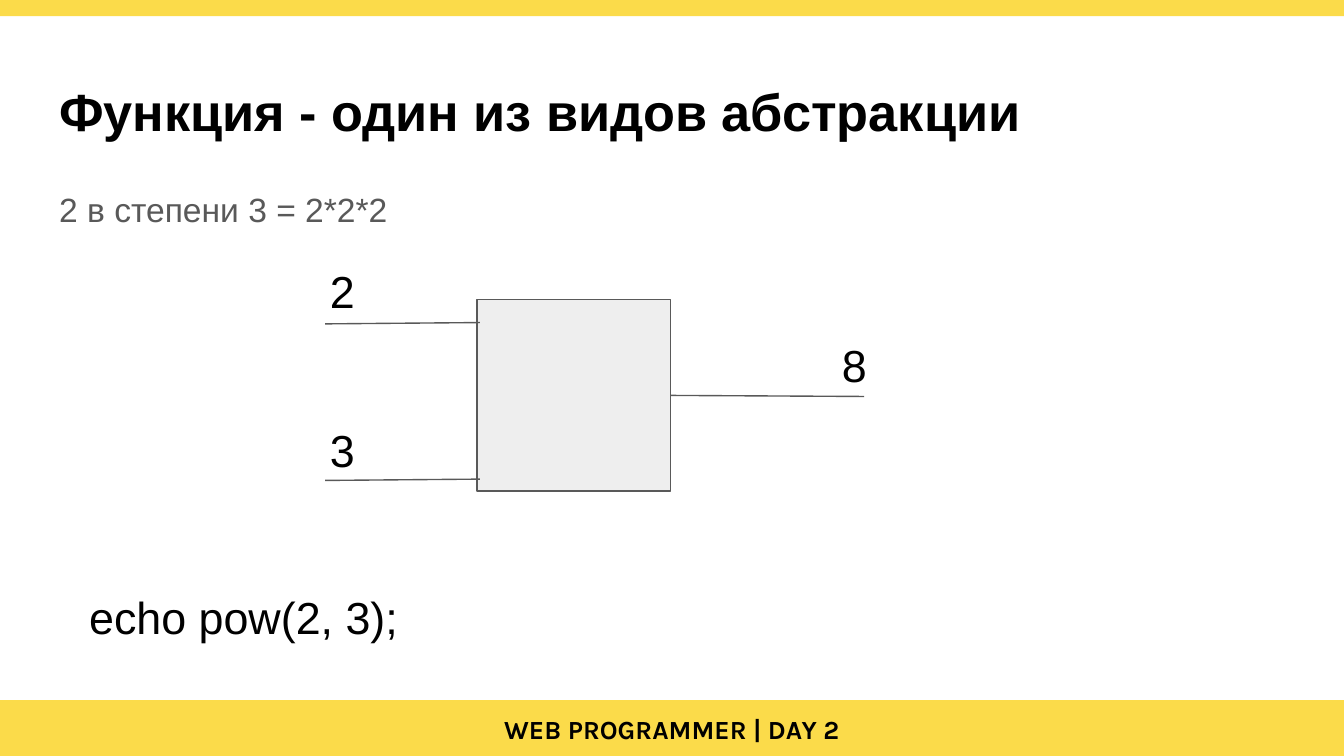
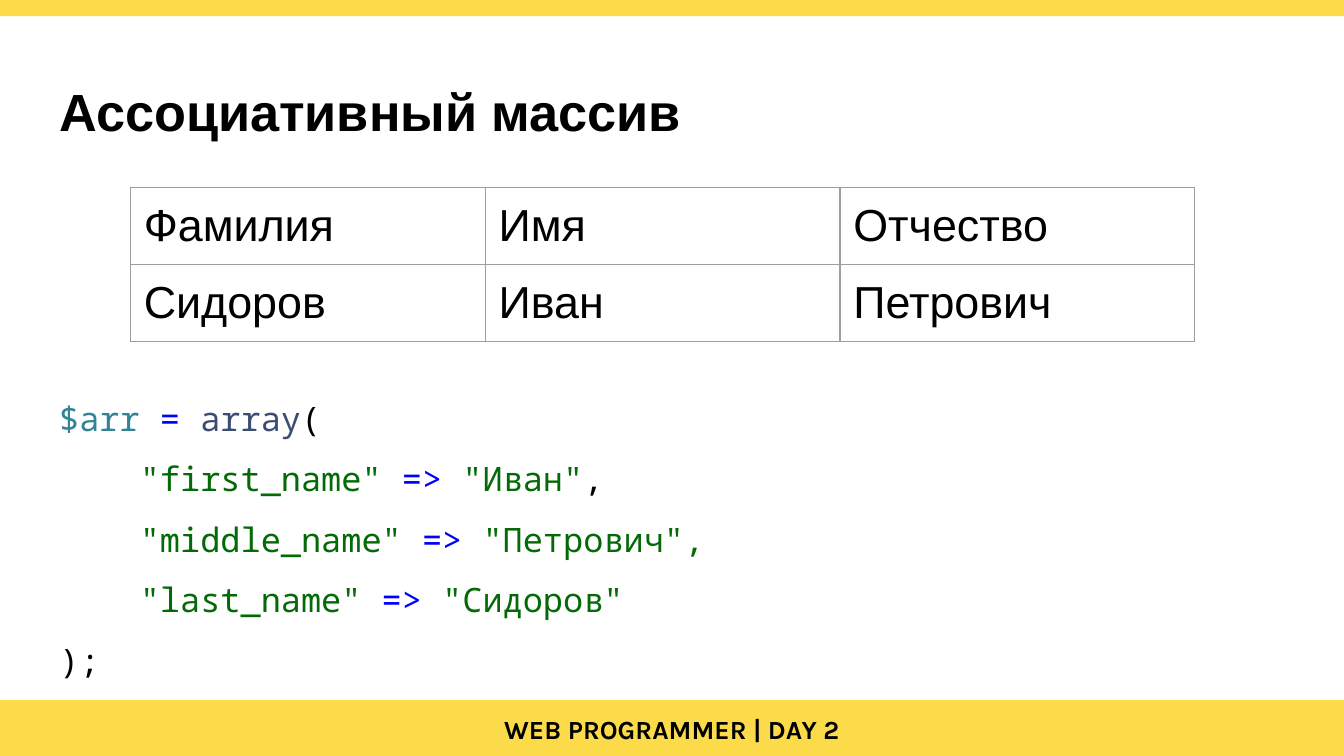
from typing import Any, NamedTuple

from lxml.etree import SubElement
from pptx import Presentation
from pptx.dml.color import RGBColor
from pptx.enum.shapes import MSO_CONNECTOR, MSO_SHAPE
from pptx.enum.text import MSO_ANCHOR, MSO_AUTO_SIZE, PP_ALIGN
from pptx.oxml.ns import qn
from pptx.util import Emu, Pt

# Colours
BLACK = RGBColor(0x00, 0x00, 0x00)
GREY = RGBColor(0x59, 0x59, 0x59)
LIGHT = RGBColor(0xEE, 0xEE, 0xEE)
BORDER = RGBColor(0x9E, 0x9E, 0x9E)
YELLOW = RGBColor(0xFB, 0xDB, 0x4A)
VARIABLE = RGBColor(0x31, 0x84, 0x95)
OPERATOR = RGBColor(0x00, 0x00, 0xFF)
KEYWORD = RGBColor(0x3C, 0x4C, 0x72)
STRING = RGBColor(0x03, 0x6A, 0x07)

# Text formats
TITLE = {"name": "Arial", "size": Pt(28), "bold": True}
BODY = {"name": "Arial", "size": Pt(18)}
LARGE = {"name": "Arial", "size": Pt(24)}
CODE = {"name": "Noto Sans Mono", "size": Pt(18)}
FOOTER = {"name": "Karla", "size": Pt(14), "bold": True}

# Lengths in px, 200 to the inch
PX = 4572
WIDTH, HEIGHT = 2000, 1125
INSET = 20
CODE_TOP = 310
CODE_INDENT = 120
CODE_LEADING = Pt(32.4)
THIN = Pt(0.75)


class Box(NamedTuple):
    left: int
    top: int
    width: int
    height: int

    def emu(self) -> list[Emu]:
        return [px(v) for v in self]


class Label(NamedTuple):
    text: str
    box: Box


class Wire(NamedTuple):
    x1: int
    y1: int
    x2: int
    y2: int


class Token(NamedTuple):
    text: str
    color: RGBColor = BLACK


class CodeLine(NamedTuple):
    level: int
    tokens: list[Token]


TITLE_BOX = Box(68, 98, 1864, 126)
BODY_BOX = Box(68, 252, 1864, 748)
TOP_BAND = Box(0, 0, WIDTH, 24)
BOTTOM_BAND = Box(0, 1042, WIDTH, HEIGHT - 1042)
FOOTER_LABEL = Label("WEB PROGRAMMER | DAY 2", Box(454, 1042, 1092, 83))

# The function as a box with two inputs and one output
FUNCTION_BOX = Box(710, 446, 288, 285)
INPUTS = [Wire(714, 480, 484, 482), Wire(714, 713, 484, 715)]
OUTPUT = Wire(998, 588, 1286, 590)
LABELS = [
    Label("2", Box(471, 372, 98, 162)),
    Label("3", Box(471, 609, 98, 162)),
    Label("8", Box(1233, 482, 98, 162)),
    Label("echo pow(2, 3);", Box(113, 858, 1084, 162)),
]

# The names table and the array that holds them
NAMES = [["Фамилия", "Имя", "Отчество"], ["Сидоров", "Иван", "Петрович"]]
TABLE_LEFT, TABLE_TOP, COLUMN, ROW = 194, 279, 528, 84


def px(value: int) -> Emu:
    return Emu(value * PX)


def entry(key: str, value: str, *end: Token) -> CodeLine:
    return CodeLine(1, [Token(f'"{key}"', STRING), Token(" "), Token("=>", OPERATOR),
                        Token(" "), Token(f'"{value}"', STRING), *end])


ARRAY_CODE = [
    CodeLine(0, [Token("$arr", VARIABLE), Token(" "), Token("=", OPERATOR),
                 Token(" "), Token("array", KEYWORD), Token("(")]),
    entry("first_name", "Иван", Token(",")),
    entry("middle_name", "Петрович", Token(",", STRING)),
    entry("last_name", "Сидоров"),
    CodeLine(0, [Token(");")]),
]


def add_run(p: Any, text: str, fmt: dict[str, Any], color: RGBColor = BLACK) -> None:
    r = p.add_run()
    r.text = text
    for name, value in fmt.items():
        setattr(r.font, name, value)
    r.font.color.rgb = color


def set_frame(tf: Any, top: int = INSET) -> None:
    frame = {"word_wrap": True, "auto_size": MSO_AUTO_SIZE.NONE,
             "vertical_anchor": MSO_ANCHOR.TOP, "margin_left": px(INSET),
             "margin_right": px(INSET), "margin_top": px(top), "margin_bottom": px(INSET)}
    for name, value in frame.items():
        setattr(tf, name, value)


def place(sp: Any, box: Box) -> None:
    for name, value in zip(box._fields, box.emu()):
        setattr(sp, name, value)


def set_plain(p: Any, spacing: Any, indent: int = 0) -> None:
    """Turn a list paragraph into plain text without a bullet."""
    pPr = p._p.get_or_add_pPr()
    pPr.set("marL", str(px(indent)))
    pPr.set("indent", "0")
    SubElement(pPr, qn("a:buNone"))
    p.line_spacing = spacing
    p.space_before = Pt(0)


def add_label(s: Any, label: Label, fmt: dict[str, Any],
              align: PP_ALIGN = PP_ALIGN.LEFT) -> None:
    tf = s.shapes.add_textbox(*label.box.emu()).text_frame
    set_frame(tf)
    p = tf.paragraphs[0]
    p.alignment = align
    add_run(p, label.text, fmt)


def add_box(s: Any, box: Box, fill: RGBColor, line: RGBColor | None = None) -> Any:
    sp = s.shapes.add_shape(MSO_SHAPE.RECTANGLE, *box.emu())
    sp.shadow.inherit = False
    sp.fill.solid()
    sp.fill.fore_color.rgb = fill
    if line is None:
        sp.line.fill.background()
    else:
        sp.line.color.rgb = line
        sp.line.width = THIN
    return sp


def add_wire(s: Any, wire: Wire) -> Any:
    cxn = s.shapes.add_connector(MSO_CONNECTOR.STRAIGHT, *[px(v) for v in wire])
    cxn.line.color.rgb = GREY
    cxn.line.width = THIN
    SubElement(cxn._element.spPr, qn("a:effectLst"))
    return cxn


def add_borders(cell: Any) -> None:
    tcPr = cell._tc.get_or_add_tcPr()
    for side in ("lnL", "lnR", "lnT", "lnB"):
        ln = SubElement(tcPr, qn(f"a:{side}"), w=str(THIN))
        fill = SubElement(ln, qn("a:solidFill"))
        SubElement(fill, qn("a:srgbClr"), val=str(BORDER))


def add_names_table(s: Any) -> None:
    rows, cols = len(NAMES), len(NAMES[0])
    box = Box(TABLE_LEFT, TABLE_TOP, COLUMN * cols, ROW * rows)
    table = s.shapes.add_table(rows, cols, *box.emu()).table
    table.first_row = table.horz_banding = False
    for cell, text in zip(table.iter_cells(), sum(NAMES, [])):
        for side in ("left", "right", "top", "bottom"):
            setattr(cell, f"margin_{side}", px(INSET))
        add_borders(cell)
        cell.fill.background()
        add_run(cell.text_frame.paragraphs[0], text, LARGE)


def add_slide(prs: Any, title: str, body_top: int = INSET) -> tuple[Any, Any]:
    """Add a slide with its title, bands and footer; return it and its body text."""
    s = prs.slides.add_slide(prs.slide_layouts[1])
    body = s.placeholders[1]
    place(s.shapes.title, TITLE_BOX)
    place(body, BODY_BOX)
    tf = s.shapes.title.text_frame
    set_frame(tf)
    tf.paragraphs[0].alignment = PP_ALIGN.LEFT
    add_run(tf.paragraphs[0], title, TITLE)
    set_frame(body.text_frame, body_top)
    for band in (TOP_BAND, BOTTOM_BAND):
        add_box(s, band, YELLOW)
    add_label(s, FOOTER_LABEL, FOOTER, PP_ALIGN.CENTER)
    return s, body.text_frame


def build_function_slide(prs: Any) -> None:
    s, tf = add_slide(prs, "Функция - один из видов абстракции")
    p = tf.paragraphs[0]
    set_plain(p, 1.15)
    add_run(p, "2 в степени 3 = 2*2*2", BODY, GREY)
    function = add_box(s, FUNCTION_BOX, LIGHT, GREY)
    for wire in INPUTS:
        add_wire(s, wire)
    add_wire(s, OUTPUT).begin_connect(function, 3)
    for label in LABELS:
        add_label(s, label, LARGE)


def build_array_slide(prs: Any) -> None:
    s, tf = add_slide(prs, "Ассоциативный массив", CODE_TOP)
    for i, line in enumerate(ARRAY_CODE):
        p = tf.add_paragraph() if i else tf.paragraphs[0]
        set_plain(p, CODE_LEADING, line.level * CODE_INDENT)
        for token in line.tokens:
            add_run(p, token.text, CODE, token.color)
    add_names_table(s)


def main() -> None:
    prs = Presentation()
    prs.slide_width, prs.slide_height = px(WIDTH), px(HEIGHT)
    build_function_slide(prs)
    build_array_slide(prs)
    prs.save("out.pptx")


if __name__ == "__main__":
    main()
